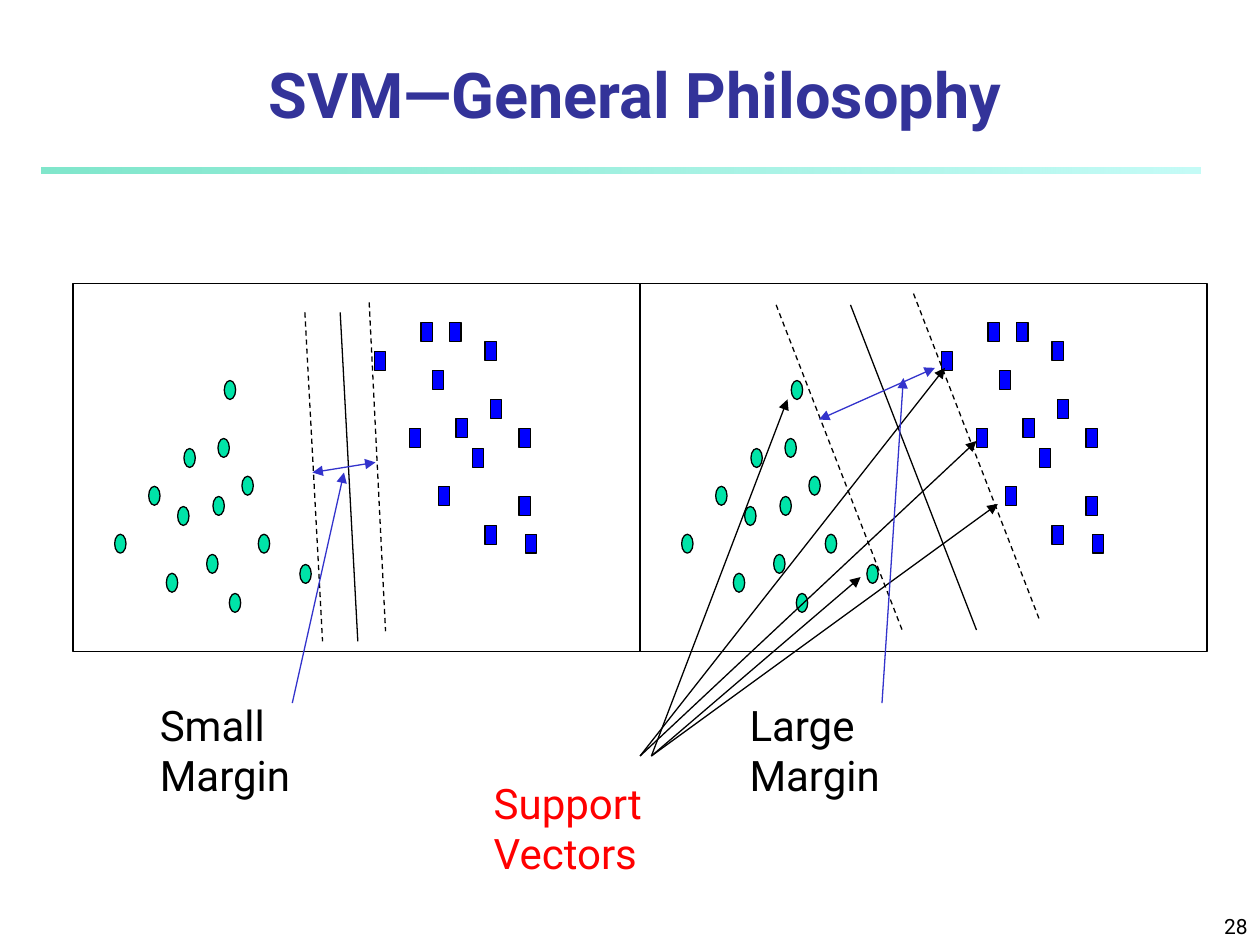
from lxml import etree
from pptx import Presentation
from pptx.dml.color import RGBColor
from pptx.enum.dml import MSO_LINE
from pptx.enum.shapes import MSO_CONNECTOR, MSO_SHAPE
from pptx.enum.text import MSO_ANCHOR, MSO_AUTO_SIZE, PP_ALIGN
from pptx.oxml.ns import qn
from pptx.util import Inches, Pt

OVAL, RECT = MSO_SHAPE.OVAL, MSO_SHAPE.RECTANGLE
LINE, DASH = MSO_CONNECTOR.STRAIGHT, MSO_LINE.DASH
LEFT, MID, RIGHT = PP_ALIGN.LEFT, PP_ALIGN.CENTER, PP_ALIGN.RIGHT
TOP, BASE = MSO_ANCHOR.TOP, MSO_ANCHOR.BOTTOM
FIXED, GROW = MSO_AUTO_SIZE.NONE, MSO_AUTO_SIZE.SHAPE_TO_FIT_TEXT

COLORS = {
    "black": "000000", "title": "333399", "red": "FF0000", "arrow": "3333CC",
    "green": "00E4A8", "blue": "0000FF", "rule1": "00CE98", "rule2": "8FF9EF",
}


def rgb(name):
    return RGBColor.from_string(COLORS[name])


class Deck:
    font = "Roboto"
    width = Pt(0.75)

    def __init__(self):
        self.prs = Presentation()
        self.prs.slide_width, self.prs.slide_height = Inches(10), Inches(7.5)
        self.slide = self.prs.slides.add_slide(self.prs.slide_layouts[5])
        self.shapes = self.slide.shapes

    def group(self):
        self.shapes = self.slide.shapes.add_group_shape().shapes

    def style(self, shape, text, size, color, align=LEFT, anchor=TOP, bold=False):
        frame = shape.text_frame
        frame.word_wrap = True
        frame.vertical_anchor = anchor
        frame.text = text
        para = frame.paragraphs[0]
        para.alignment = align
        font = para.font
        font.name, font.size, font.bold = self.font, Pt(size), bold
        font.color.rgb = rgb(color)
        return frame

    def title(self, text, box):
        shape = self.slide.shapes.title
        shape.left, shape.top, shape.width, shape.height = map(Inches, box)
        frame = self.style(shape, text, 36, "title", MID, BASE, True)
        frame.auto_size = FIXED

    def label(self, text, box, color="black"):
        shape = self.shapes.add_textbox(*map(Inches, box))
        frame = self.style(shape, text, 24, color)
        frame.margin_right = Inches(0.8)  # keeps one word to a line
        frame.auto_size = GROW

    def number(self, text, box):
        shape = self.shapes.add_textbox(*map(Inches, box))
        self.style(shape, text, 12, "black", RIGHT, BASE)

    def shape(self, kind, box, fill=None):
        shape = self.shapes.add_shape(kind, *map(Inches, box))
        shape.shadow.inherit = False
        if fill:
            shape.fill.solid()
            shape.fill.fore_color.rgb = rgb(fill)
        else:
            shape.fill.background()
        shape.line.color.rgb = rgb("black")
        shape.line.width = self.width
        return shape

    def rule(self, box):
        shape = self.shape(RECT, box)
        shape.line.fill.background()
        shape.fill.gradient()
        shape.fill.gradient_angle = 0
        looks = (("rule1", 0, 50000), ("rule2", 1, 52000))
        for stop, (name, place, alpha) in zip(shape.fill.gradient_stops, looks):
            stop.color.rgb = rgb(name)
            stop.position = place
        tags = list(shape._element.spPr.iter(qn("a:srgbClr")))
        for tag, (name, place, alpha) in zip(tags, looks):
            etree.SubElement(tag, qn("a:alpha"), val=str(alpha))

    def line(self, start, end, color="black", dash=False, ends=()):
        line = self.shapes.add_connector(LINE, *map(Inches, start + end))
        line.line.color.rgb = rgb(color)
        line.line.width = self.width
        if dash:
            line.line.dash_style = DASH
        props = line._element.spPr
        for name in ends:
            etree.SubElement(props.find(qn("a:ln")), qn("a:" + name), type="triangle")
        etree.SubElement(props, qn("a:effectLst"))


# Data points, placed in the left panel
DOTS = [
    (1.32, 4.55), (1.41, 4.02), (0.91, 4.24), (1.18, 3.86), (1.64, 4.4),
    (1.46, 3.56), (1.69, 3.94), (1.73, 3.48), (1.92, 3.78), (2.05, 4.24),
    (1.82, 4.71), (2.38, 4.48), (1.78, 3.02),
]
BLOCKS = [
    (3.25, 3.4), (2.97, 2.79), (3.34, 2.56), (3.48, 3.86), (3.43, 2.94),
    (3.62, 3.32), (3.57, 2.56), (3.85, 2.71), (3.75, 3.56), (3.89, 3.17),
    (3.85, 4.17), (4.12, 3.4), (4.12, 3.94), (4.17, 4.24),
]
PITCH = 4.5
# Each panel: two dashed margins, then the solid boundary
PANELS = [
    [((2.93, 2.4), (3.06, 5.01)), ((2.42, 2.48), (2.56, 5.09)),
     ((2.7, 2.48), (2.84, 5.09))],
    [((6.16, 2.42), (7.16, 5)), ((7.25, 2.33), (8.25, 4.92)),
     ((6.75, 2.42), (7.75, 5))],
]
VECTORS = [
    ((5.08, 6), (7.5, 2.92)), ((5.08, 6), (7.75, 3.5)),
    ((5.17, 6), (7.92, 4)), ((5.17, 6), (6.83, 4.58)),
    ((5.17, 6), (6.25, 3.17)),
]
# Label, its box, the span across the margin, the pointer to it
MARGINS = [
    ("Small Margin", (1.17, 5.5, 2.1, 0.5),
     ((2.48, 3.75), (2.98, 3.67)), ((2.32, 5.58), (2.73, 3.75))),
    ("Large Margin", (5.85, 5.5, 2.12, 0.5),
     ((6.5, 3.33), (7.42, 2.92)), ((7, 5.58), (7.17, 3))),
]


def main():
    deck = Deck()

    # Heading and page number
    deck.rule((0.33, 1.33, 9.2, 0.05))
    deck.number("28", (7.92, 7.08, 2.08, 0.42))
    deck.title("SVM—General Philosophy", (0.33, 0.42, 9.42, 0.67))

    # Two panels with the same points
    for i, lines in enumerate(PANELS):
        deck.group()
        shift = i * PITCH
        for kind, fill, spots in ((OVAL, "green", DOTS), (RECT, "blue", BLOCKS)):
            for x, y in spots:
                deck.shape(kind, (x + shift, y, 0.09, 0.15), fill)
        deck.shape(RECT, (0.58 + shift, 2.25, PITCH, 2.92))
        for j, (start, end) in enumerate(lines):
            deck.line(start, end, dash=j < 2)

    # Support vectors
    deck.group()
    deck.label("Support Vectors", (3.82, 6.12, 2.55, 0.5), "red")
    for start, end in VECTORS:
        deck.line(start, end, ends=("tailEnd",))

    # Margin labels and arrows
    for text, box, span, hint in MARGINS:
        deck.group()
        deck.label(text, box)
        deck.line(*span, "arrow", ends=("headEnd", "tailEnd"))
        deck.line(*hint, "arrow", ends=("tailEnd",))

    deck.prs.save("out.pptx")


if __name__ == "__main__":
    main()
